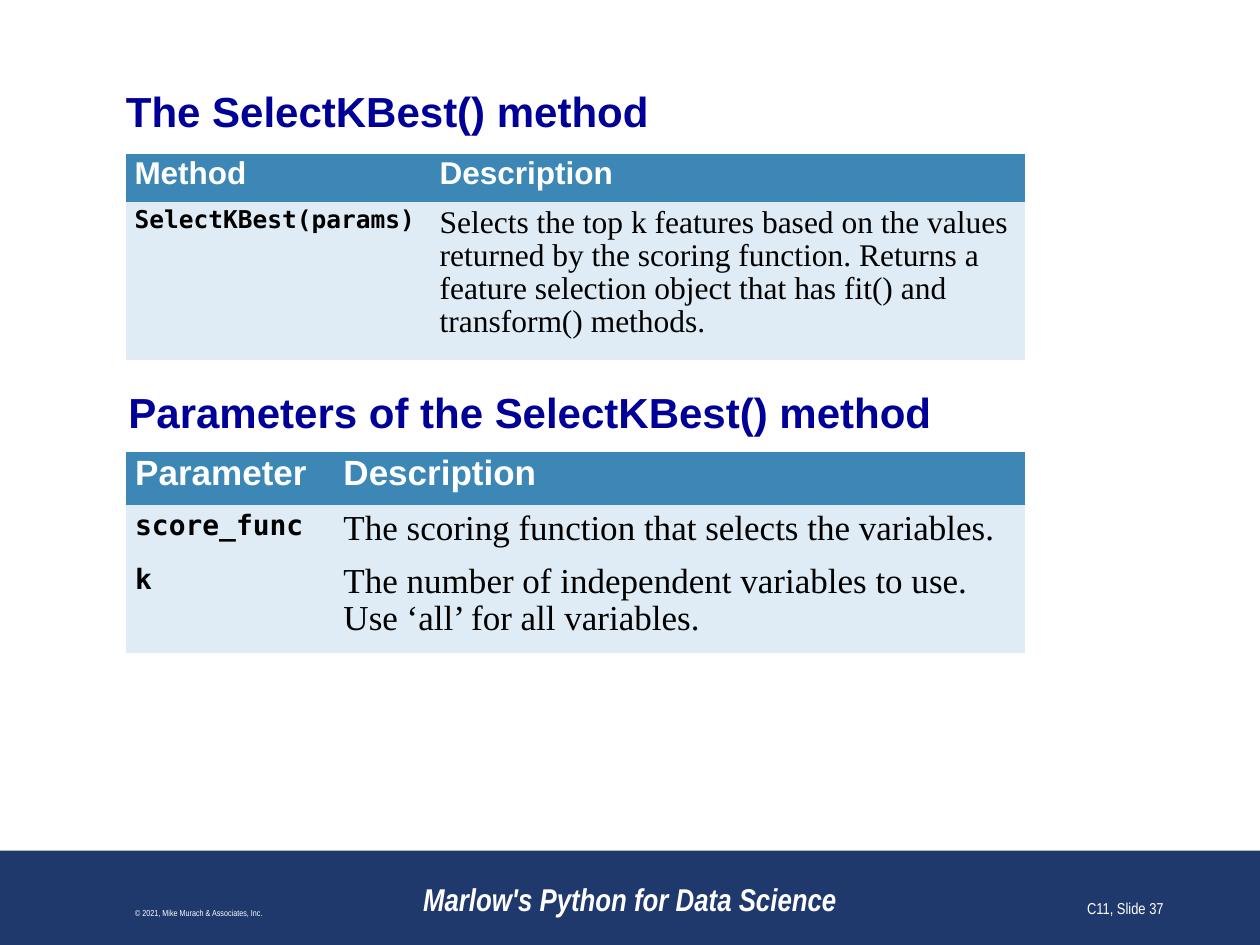
from pptx import Presentation
from pptx.dml.color import RGBColor
from pptx.enum.shapes import MSO_SHAPE
from pptx.enum.text import MSO_ANCHOR, PP_ALIGN
from pptx.util import Pt

LEFT, CENTER, RIGHT = PP_ALIGN.LEFT, PP_ALIGN.CENTER, PP_ALIGN.RIGHT
MIDDLE, BOTTOM = MSO_ANCHOR.MIDDLE, MSO_ANCHOR.BOTTOM
NO_STYLE = "{2D5ABB26-0587-4C30-8999-92F81FD0307C}"

WHITE, BLACK, NAVY = "FFFFFF", "000000", "20396D"
HEADING, HEAD_FILL, BODY_FILL = "000099", "3D87B7", "DFECF5"
SANS, NARROW, SERIF, MONO = "Arial", "Arial Narrow", "Times New Roman", "DejaVu Sans Mono"

HEADINGS = [
    ("The SelectKBest() method", (72, 49, 576, 28.8)),
    ("Parameters of the SelectKBest() method", (73.4, 217, 574.6, 36)),
]

TABLES = [
    {
        "top": 88, "cols": (174.4, 339.3), "rows": (27.4, 90.4),
        "text": 18, "code": 14, "pad": (4.9, 2.9),
        "cells": [
            ("Method", "Description"),
            ("SelectKBest(params)",
             "Selects the top k features based on the values returned by the "
             "scoring function. Returns a feature selection object that has "
             "fit() and transform() methods."),
        ],
    },
    {
        "top": 258, "cols": (119, 394.7), "rows": (30.6, 30.6, 54),
        "text": 20, "code": 16, "pad": (5.3, 3.4),
        "cells": [
            ("Parameter", "Description"),
            ("score_func", "The scoring function that selects the variables."),
            ("k", "The number of independent variables to use. "
                  "Use ‘all’ for all variables."),
        ],
    },
]

FOOTERS = [
    ("Marlow's Python for Data Science", 216, 288, CENTER, 18, True),
    ("© 2021, Mike Murach & Associates, Inc.", 5.8, 216, CENTER, 5, False),
    ("C11, Slide 37", 522, 150, RIGHT, 9, False),
]


def color(value):
    return RGBColor.from_string(value)


def write(tf, text, font, size, ink, bold=False, italic=False, align=LEFT):
    tf.word_wrap = True
    p = tf.paragraphs[0]
    p.alignment = align
    r = p.add_run()
    r.text = text
    r.font.name, r.font.size = font, Pt(size)
    r.font.bold, r.font.italic = bold, italic
    r.font.color.rgb = color(ink)
    return p


def add_text(s, box, anchor, pad, *args, **kwargs):
    tf = s.shapes.add_textbox(*map(Pt, box)).text_frame
    tf.vertical_anchor = anchor
    tf.margin_left = tf.margin_right = Pt(pad * 2)
    tf.margin_top = tf.margin_bottom = Pt(pad)
    write(tf, *args, **kwargs)


def add_grid(s, data):
    cols, rows = data["cols"], data["rows"]
    box = 72, data["top"], sum(cols), sum(rows)
    table = s.shapes.add_table(len(rows), len(cols), *map(Pt, box)).table
    table._tbl.tblPr[0].text = NO_STYLE
    for col, width in zip(table.columns, cols):
        col.width = Pt(width)
    for row, height in zip(table.rows, rows):
        row.height = Pt(height)
    side, edge = map(Pt, data["pad"])
    for i, texts in enumerate(data["cells"]):
        for j, text in enumerate(texts):
            cell = table.cell(i, j)
            cell.margin_left = cell.margin_right = side
            cell.margin_top = cell.margin_bottom = edge
            cell.fill.solid()
            cell.fill.fore_color.rgb = color(BODY_FILL if i else HEAD_FILL)
            if i == 0:
                style = SANS, data["text"], WHITE, True
            elif j == 0:
                style = MONO, data["code"], BLACK, True
            else:
                style = SERIF, data["text"], BLACK, False
            p = write(cell.text_frame, text, *style)
            p.line_spacing = 0.95 if i else 0.9


prs = Presentation()
prs.slide_width, prs.slide_height = Pt(720), Pt(540)
s = prs.slides.add_slide(prs.slide_layouts[6])

band = s.shapes.add_shape(MSO_SHAPE.RECTANGLE, Pt(0), Pt(486), Pt(720), Pt(54))
band.shadow.inherit = False
band.fill.solid()
band.fill.fore_color.rgb = color(NAVY)
band.line.fill.background()

for text, box in HEADINGS:
    add_text(s, box, MIDDLE, 0, text, SANS, 24, HEADING, bold=True)

for data in TABLES:
    add_grid(s, data)

for text, left, width, align, size, strong in FOOTERS:
    add_text(s, (left, 492, width, 36), BOTTOM, 3.6, text, NARROW, size, WHITE,
             bold=strong, italic=strong, align=align)

prs.save("out.pptx")
